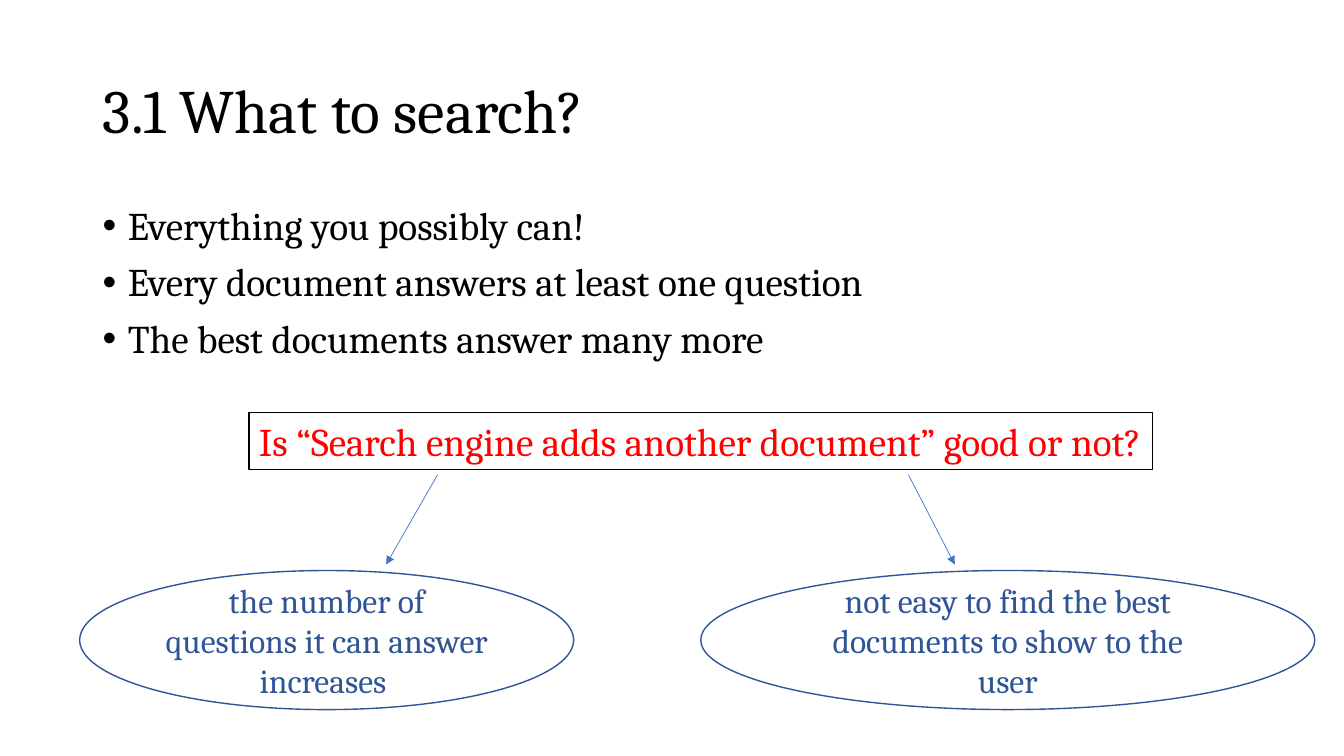
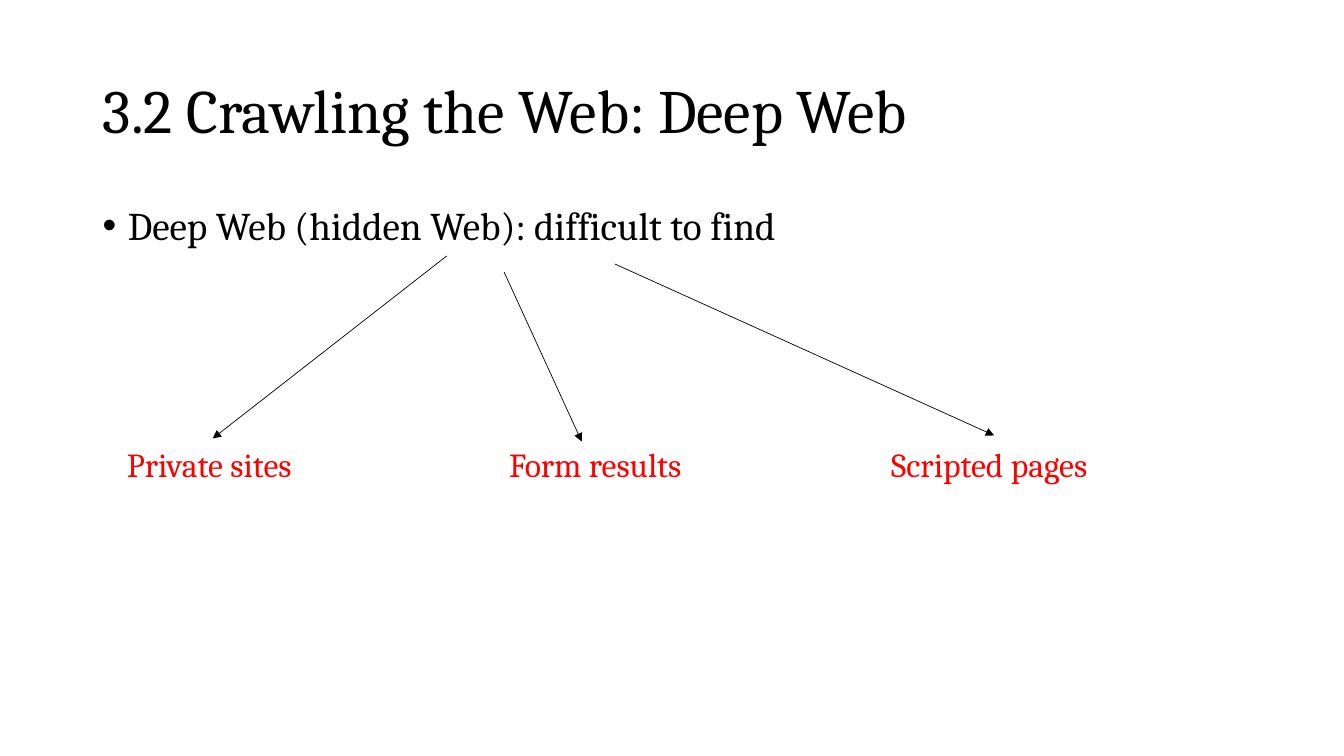
"""Build two slides on what a search engine covers and the deep Web."""
import pptx
import pptx.dml.color
import pptx.enum.shapes
import pptx.enum.text
import pptx.oxml.ns
import pptx.util
from lxml import etree

Inches, Pt = pptx.util.Inches, pptx.util.Pt
Shape = pptx.enum.shapes.MSO_SHAPE
Align = pptx.enum.text.PP_ALIGN
Anchor = pptx.enum.text.MSO_ANCHOR
qn = pptx.oxml.ns.qn

FONT = "Cambria"
COLORS = {"ink": "000000", "paper": "FFFFFF", "red": "FF0000",
          "navy": "2F5597", "blue": "4472C4"}
TITLE = (0.92, 0.4, 11.5, 1.45)
BODY = (0.92, 2, 11.5, 4.76)

SEARCH = {
    "title": "3.1 What to search?",
    "points": ["Everything you possibly can!",
               "Every document answers at least one question",
               "The best documents answer many more"],
    "ask": "Is “Search engine adds another document” good or not?",
    "views": [("the number of questions it can answer increases ", 0.79, 4.9),
              ("not easy to find the best documents to show to the user", 6.95, 6.09)],
    "arrows": [(4.34, 4.71, 3.83, 5.6), (9.01, 4.71, 9.47, 5.6)],
}
DEEP = {
    "title": "3.2 Crawling the Web: Deep Web",
    "points": ["Deep Web (hidden Web): difficult to find"],
    "kinds": ["Private sites", "Form results", "Scripted pages"],
    "arrows": [(4.43, 2.54, 2.11, 4.35), (5, 2.7, 5.77, 4.38),
               (6.1, 2.62, 9.86, 4.32)],
}


def rgb(name):
    """Return the named colour."""
    return pptx.dml.color.RGBColor.from_string(COLORS[name])


def write(shape, *lines, size=24, color="ink", align=Align.LEFT,
          anchor=Anchor.TOP, wrap=True, spacing=None, bullet=False):
    """Fill a shape with one paragraph per line."""
    frame = shape.text_frame
    frame.word_wrap = wrap
    frame.vertical_anchor = anchor
    frame.text = "\n".join(lines)
    for para in frame.paragraphs:
        para.alignment = align
        para.line_spacing = spacing
        font = para.runs[0].font
        font.name, font.size = FONT, Pt(size)
        font.color.rgb = rgb(color)
        if bullet:
            para.space_before = Pt(10)
            props = para._p.get_or_add_pPr()
            props.set("marL", str(Inches(0.25)))
            props.set("indent", str(-Inches(0.25)))
            etree.SubElement(props, qn("a:buFont")).set("typeface", "Arial")
            etree.SubElement(props, qn("a:buChar")).set("char", "•")


def place(box):
    """Turn a box in inches into lengths."""
    return [Inches(v) for v in box]


def start(deck, data):
    """Add a slide with its title and bullet points."""
    slide = deck.slides.add_slide(deck.slide_layouts[5])
    title = slide.shapes.title
    title.left, title.top, title.width, title.height = place(TITLE)
    write(title, data["title"], size=44, anchor=Anchor.MIDDLE, spacing=0.9)
    body = slide.shapes.add_textbox(*place(BODY))
    write(body, *data["points"], size=28, spacing=0.9, bullet=True)
    return slide


def outline(slide, kind, box, color, width, fill=None):
    """Add an outlined shape, filled on request."""
    shape = slide.shapes.add_shape(kind, *place(box))
    shape.shadow.inherit = False
    shape.line.color.rgb = rgb(color)
    shape.line.width = Pt(width)
    if fill:
        shape.fill.solid()
        shape.fill.fore_color.rgb = rgb(fill)
    else:
        shape.fill.background()
    return shape


def point(slide, ends, color):
    """Draw a thin arrow for each pair of ends."""
    for end in ends:
        line = slide.shapes.add_connector(
            pptx.enum.shapes.MSO_CONNECTOR.STRAIGHT, *place(end))
        line.line.color.rgb = rgb(color)
        line.line.width = Pt(0.5)
        tail = etree.SubElement(line.line._get_or_add_ln(), qn("a:tailEnd"))
        tail.set("type", "triangle")
        etree.SubElement(line._element.spPr, qn("a:effectLst"))


def search(deck):
    """Build the slide on what to search."""
    slide = start(deck, SEARCH)
    ask = outline(slide, Shape.RECTANGLE, (2.47, 4.09, 8.96, 0.57), "ink", 0.75)
    write(ask, SEARCH["ask"], size=28, color="red", wrap=False)
    for text, left, width in SEARCH["views"]:
        oval = outline(slide, Shape.OVAL, (left, 5.66, width, 1.38),
                       "navy", 1, fill="paper")
        write(oval, text, color="navy", align=Align.CENTER, anchor=Anchor.MIDDLE)
    point(slide, SEARCH["arrows"], "blue")


def deep(deck):
    """Build the slide on the deep Web."""
    slide = start(deck, DEEP)
    for i, kind in enumerate(DEEP["kinds"]):
        label = slide.shapes.add_textbox(*place((1.16 + 3.79 * i, 4.35, 3.02, 0.5)))
        write(label, kind, color="red")
    point(slide, DEEP["arrows"], "ink")


def main():
    """Build and save the deck."""
    deck = pptx.Presentation()
    deck.slide_width, deck.slide_height = place((13.33, 7.5))
    search(deck)
    deep(deck)
    deck.save("out.pptx")


if __name__ == "__main__":
    main()
